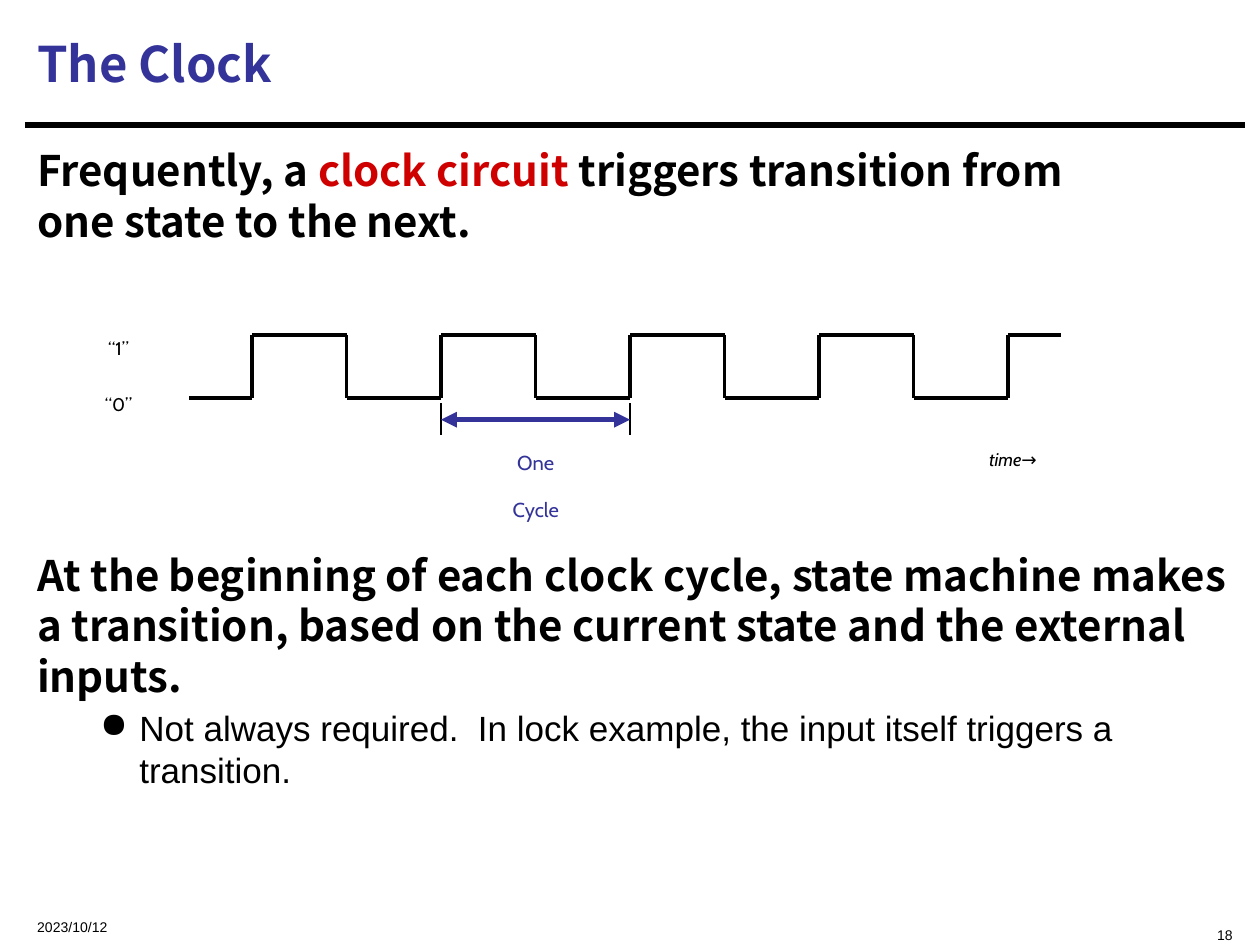
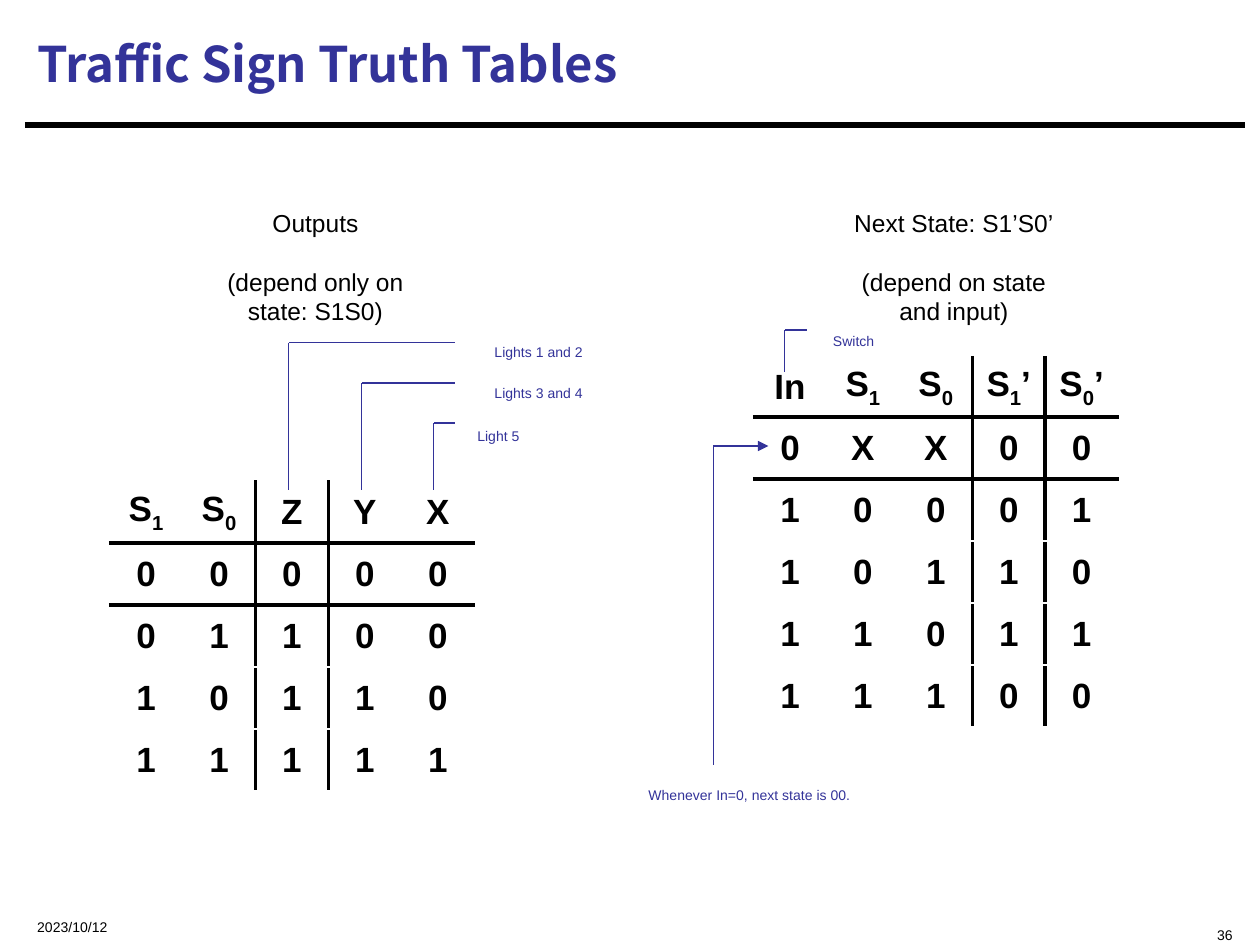
from dataclasses import dataclass
from itertools import pairwise

from lxml import etree
from pptx import Presentation
from pptx import util as u
from pptx.dml.color import RGBColor
from pptx.enum import shapes, text
from pptx.oxml import ns

COLOURS = {"ink": "000000", "accent": "333399", "alert": "CE0000"}
HEADING_FONT = "Noto Sans CJK SC"
BODY_FONT = "Arial"
DIAGRAM_FONT = "Cabin"
LEFT, RIGHT = text.PP_ALIGN.LEFT, text.PP_ALIGN.RIGHT
CENTER = text.PP_ALIGN.CENTER
DATE = "2023/10/12"
COLUMN_WIDTH = 1.47
ROW_HEIGHT = 1.25


@dataclass
class Line:
    x1: float
    y1: float
    x2: float
    y2: float
    colour: str = "accent"
    width: float = 0.75
    ends: tuple[str, ...] = ()


@dataclass
class Label:
    lines: tuple[str, ...]
    x: float
    y: float
    size: float = 8
    colour: str = "accent"
    font: str = BODY_FONT
    gap: float = 0
    italic: bool = False


@dataclass
class TruthTable:
    x: float
    y: float
    header: tuple[str, ...]
    rows: tuple[str, ...]
    inputs: int
    header_height: float = ROW_HEIGHT


def rgb(name: str) -> RGBColor:
    return RGBColor.from_string(COLOURS[name])


def set_font(font, name: str, size: float, colour: str = "ink", bold: bool = False) -> None:
    font.name, font.size, font.bold = name, u.Pt(size), bold
    font.color.rgb = rgb(colour)


def add_frame(slide, x: float, y: float, width: float, height: float, wrap: bool = True):
    shape = slide.shapes.add_textbox(u.Cm(x), u.Cm(y), u.Cm(width), u.Cm(height))
    frame = shape.text_frame
    frame.word_wrap = wrap
    frame.vertical_anchor = text.MSO_ANCHOR.MIDDLE
    return frame


def add_line(slide, line: Line) -> None:
    points = (u.Cm(value) for value in (line.x1, line.y1, line.x2, line.y2))
    connector = slide.shapes.add_connector(shapes.MSO_CONNECTOR.STRAIGHT, *points)
    connector.line.color.rgb = rgb(line.colour)
    connector.line.width = u.Pt(line.width)
    properties = connector._element.spPr
    for end in line.ends:
        etree.SubElement(properties.find(ns.qn("a:ln")), ns.qn(f"a:{end}"), type="triangle")
    etree.SubElement(properties, ns.qn("a:effectLst"))


def add_label(slide, label: Label) -> None:
    width, height = 5.0, 1.0 * len(label.lines)
    frame = add_frame(slide, label.x - width / 2, label.y - height / 2, width, height, False)
    for index, content in enumerate(label.lines):
        paragraph = frame.add_paragraph() if index else frame.paragraphs[0]
        paragraph.text = content
        paragraph.alignment = CENTER
        if index:
            paragraph.space_before = u.Pt(label.gap)
        set_font(paragraph.font, label.font, label.size, label.colour)
        paragraph.font.italic = label.italic


def add_base(presentation, title: str, number: int):
    slide = presentation.slides.add_slide(presentation.slide_layouts[6])
    add_line(slide, Line(0.5, 2.52, 25.1, 2.52, "ink", 3.75))
    footers = ((DATE, 0.5, 18.37, 6.35, LEFT), (str(number), 17.48, 18.53, 7.62, RIGHT))
    for content, x, y, width, alignment in footers:
        paragraph = add_frame(slide, x, y, width, 0.64).paragraphs[0]
        paragraph.text = content
        paragraph.alignment = alignment
        set_font(paragraph.font, BODY_FONT, 8)
    paragraph = add_frame(slide, 0.5, 0.2, 24.56, 2.13).paragraphs[0]
    paragraph.text = title
    set_font(paragraph.font, HEADING_FONT, 28, "accent", True)
    return slide


def add_bullet(paragraph) -> None:
    properties = paragraph._p.get_or_add_pPr()
    properties.set("marL", str(u.Cm(2.06)))
    properties.set("indent", str(u.Cm(-0.79)))
    etree.SubElement(properties, ns.qn("a:buChar"), char="●")


def add_clock_text(slide) -> None:
    frame = add_frame(slide, 0.5, 2.79, 24.56, 15.1)
    frame.vertical_anchor = text.MSO_ANCHOR.TOP
    trigger, transition, exception = (
        frame.paragraphs[0], frame.add_paragraph(), frame.add_paragraph())
    for content, colour in (("Frequently, a ", "ink"), ("clock circuit", "alert"),
                            (" triggers transition from", "ink"), ("one state to the next.", "ink")):
        if content.startswith("one"):
            trigger.add_line_break()
        run = trigger.add_run()
        run.text = content
        run.font.color.rgb = rgb(colour)
    transition.text = ("At the beginning of each clock cycle, state machine makes a transition, "
                       "based on the current state and the external inputs.")
    transition.space_before = u.Pt(173)
    exception.text = ("Not always required.  In lock example, "
                      "the input itself triggers a transition.")
    exception.space_before = u.Pt(3)
    for paragraph in (trigger, transition):
        paragraph.line_spacing = u.Pt(29)
        set_font(paragraph.font, HEADING_FONT, 24, bold=True)
    exception.line_spacing = u.Pt(24)
    add_bullet(exception)
    set_font(exception.font, BODY_FONT, 20)


def add_waveform(slide) -> None:
    low, high, period, first_edge = 8.03, 6.76, 3.81, 5.08
    edges = [first_edge + index * period / 2 for index in range(9)]
    for index, (start, end) in enumerate(pairwise([3.81, *edges, 21.39])):
        level = high if index % 2 else low
        add_line(slide, Line(start, level, end, level, "ink", 2.25))
    for edge in edges:
        add_line(slide, Line(edge, high, edge, low, "ink", 2.25))
    cycle_start, cycle_end = edges[2], edges[4]
    for x in (cycle_start, cycle_end):
        add_line(slide, Line(x, 8.13, x, 8.76, "ink"))
    add_line(slide, Line(cycle_start, 8.46, cycle_end, 8.46, "accent", 3, ("headEnd", "tailEnd")))


def add_border(cell, side: str) -> None:
    properties = cell._tc.get_or_add_tcPr()
    border = etree.SubElement(properties, ns.qn(f"a:ln{side}"), w=str(u.Pt(2.25)))
    fill = etree.SubElement(border, ns.qn("a:solidFill"))
    etree.SubElement(fill, ns.qn("a:srgbClr"), val=COLOURS["ink"])


def fill_cell(cell, content: str) -> None:
    paragraph = cell.text_frame.paragraphs[0]
    base, _, rest = content.partition("_")
    for index, part in enumerate((base, rest[:1], rest[1:])):
        if part:
            run = paragraph.add_run()
            run.text = part
            if index == 1:
                run._r.get_or_add_rPr().set("baseline", "-25000")
    paragraph.alignment = CENTER
    set_font(paragraph.font, BODY_FONT, 20, bold=True)
    cell.vertical_anchor = text.MSO_ANCHOR.MIDDLE


def add_truth_table(slide, spec_table: TruthTable) -> None:
    rows = (spec_table.header, *spec_table.rows)
    count = len(spec_table.header)
    height = spec_table.header_height + ROW_HEIGHT * len(spec_table.rows)
    table = slide.shapes.add_table(
        len(rows), count, u.Cm(spec_table.x), u.Cm(spec_table.y),
        u.Cm(COLUMN_WIDTH * count), u.Cm(height)).table
    table.first_row = table.horz_banding = False
    for column in table.columns:
        column.width = u.Cm(COLUMN_WIDTH)
    for row_index, values in enumerate(rows):
        table.rows[row_index].height = u.Cm(ROW_HEIGHT if row_index else spec_table.header_height)
        for column_index, value in enumerate(values):
            cell = table.cell(row_index, column_index)
            fill_cell(cell, value)
            borders = {"L": column_index == spec_table.inputs,
                       "R": column_index == spec_table.inputs - 1,
                       "T": row_index == 1,
                       "B": row_index == 0}
            for side, shown in borders.items():
                if shown:
                    add_border(cell, side)
            cell.fill.background()


def build_clock(presentation) -> None:
    slide = add_base(presentation, "The Clock", 18)
    add_clock_text(slide)
    add_waveform(slide)
    for label in (
        Label(("“1”",), 2.39, 7.01, 10.5, "ink", DIAGRAM_FONT),
        Label(("“0”",), 2.39, 8.15, 10.5, "ink", DIAGRAM_FONT),
        Label(("time→",), 20.42, 9.25, 10.5, "ink", DIAGRAM_FONT, italic=True),
        Label(("One", "Cycle"), 10.8, 9.8, 11.5, "accent", DIAGRAM_FONT, 13),
    ):
        add_label(slide, label)


def build_truth_tables(presentation) -> None:
    slide = add_base(presentation, "Traffic Sign Truth Tables", 36)
    for label in (
        Label(("Outputs", "(depend only on state: S1S0)"), 6.36, 5.38, 14, "ink", gap=16.5),
        Label(("Next State: S1’S0’", "(depend on state and input)"), 19.23, 5.38, 14, "ink", gap=16.5),
        Label(("Lights 1 and 2",), 10.86, 7.09),
        Label(("Lights 3 and 4",), 10.86, 7.92),
        Label(("Light 5",), 10.05, 8.79),
        Label(("Switch",), 17.21, 6.88),
        Label(("Whenever In=0, next state is 00.",), 15.11, 16.03),
    ):
        add_label(slide, label)
    add_truth_table(slide, TruthTable(
        2.21, 9.7, ("S_1", "S_0", "Z", "Y", "X"),
        ("00000", "01100", "10110", "11111"), 2))
    add_truth_table(slide, TruthTable(
        15.19, 7.19, ("In", "S_1", "S_0", "S_1’", "S_0’"),
        ("0XX00", "10001", "10110", "11011", "11100"), 3, 1.2))
    for label_x, column_x, top, bottom in (
        (9.17, 5.82, 6.91, 9.88),
        (9.17, 7.29, 7.72, 9.88),
        (9.17, 8.74, 8.53, 9.88),
        (16.26, 15.82, 6.65, 7.49),
    ):
        add_line(slide, Line(label_x, top, column_x, top))
        add_line(slide, Line(column_x, top, column_x, bottom))
    add_line(slide, Line(14.38, 8.99, 15.49, 8.99, ends=("tailEnd",)))
    add_line(slide, Line(14.38, 8.99, 14.38, 15.42))


def main() -> None:
    presentation = Presentation()
    presentation.slide_width, presentation.slide_height = u.Cm(25.4), u.Cm(19.05)
    build_clock(presentation)
    build_truth_tables(presentation)
    presentation.save("out.pptx")


if __name__ == "__main__":
    main()
